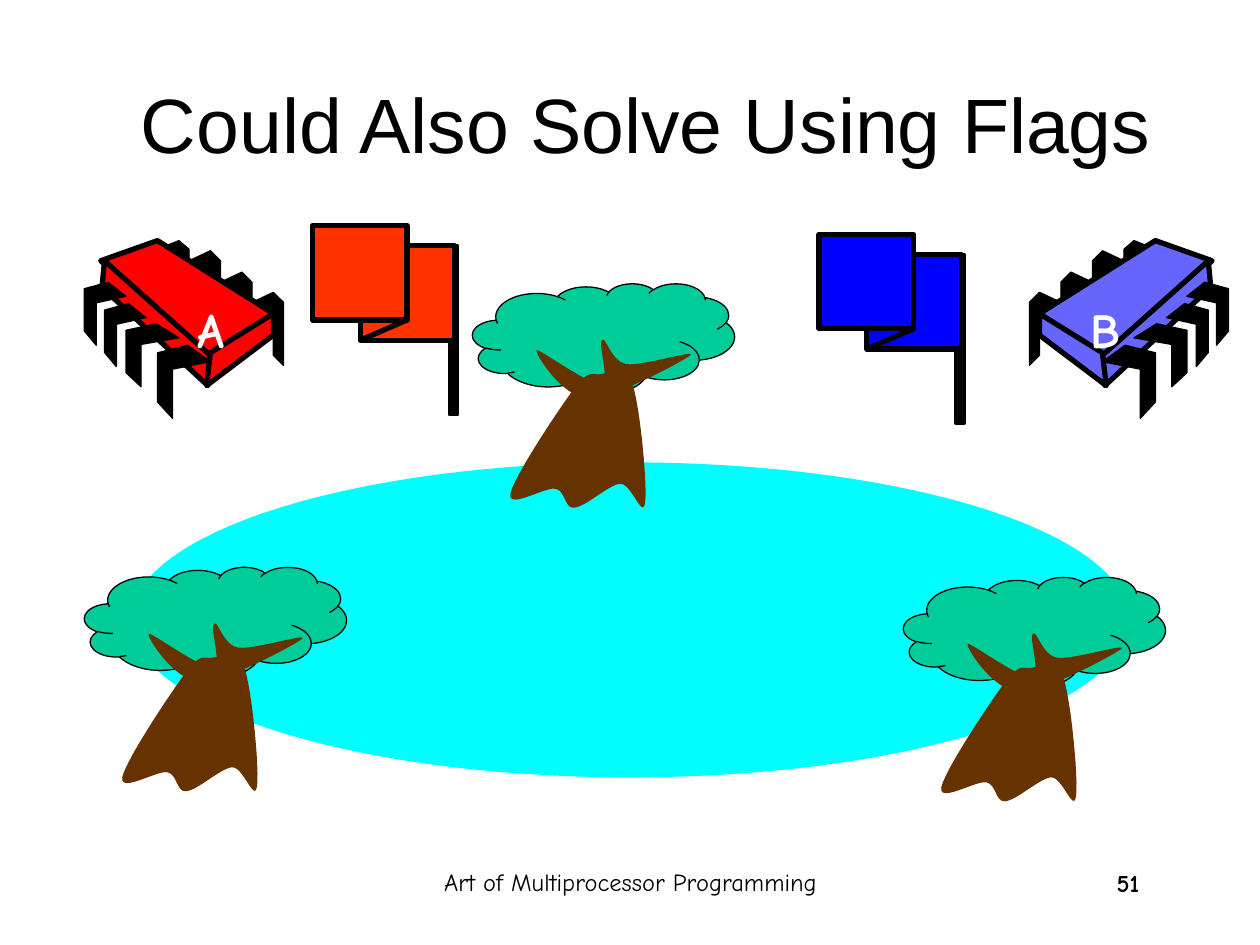
from lxml import etree
from pptx import Presentation
from pptx.dml.color import RGBColor
from pptx.enum.shapes import MSO_CONNECTOR, MSO_SHAPE
from pptx.enum.text import MSO_ANCHOR, PP_ALIGN
from pptx.oxml.ns import qn
from pptx.util import Pt

PX = 9144  # 100 px to the inch
STRAIGHT = MSO_CONNECTOR.STRAIGHT
RECTANGLE, OVAL, CLOUD = MSO_SHAPE.RECTANGLE, MSO_SHAPE.OVAL, MSO_SHAPE.CLOUD_CALLOUT
CENTER, RIGHT = PP_ALIGN.CENTER, PP_ALIGN.RIGHT
MIDDLE = MSO_ANCHOR.MIDDLE
BLACK, WHITE, BROWN = "000000", "FFFFFF", "663300"
CURVE_STEPS = 12


def paint(shape, fill, line_width=0):
    shape.shadow.inherit = False
    shape.fill.solid()
    shape.fill.fore_color.rgb = RGBColor.from_string(fill)
    if line_width:
        shape.line.color.rgb = RGBColor.from_string(BLACK)
        shape.line.width = Pt(line_width)
    else:
        shape.line.fill.background()


def add_outline(shapes, points, fill, line_width=0):
    scaled = [(x * PX, y * PX) for x, y in points]
    builder = shapes.build_freeform(*scaled[0], scale=1.0)
    builder.add_line_segments(scaled[1:], close=True)
    paint(builder.convert_to_shape(), fill, line_width)


presentation = Presentation()
presentation.slide_width, presentation.slide_height = 1000 * PX, 750 * PX
slide = presentation.slides.add_slide(presentation.slide_layouts[5])

# Title
title = slide.shapes.title
title.left, title.top, title.width, title.height = 88 * PX, 35 * PX, 850 * PX, 125 * PX
title.text_frame.text = "Could Also Solve Using Flags"
title.text_frame.vertical_anchor = MIDDLE
title.text_frame.paragraphs[0].alignment = CENTER
title_font = title.text_frame.paragraphs[0].runs[0].font
title_font.name, title_font.size = "Arial", Pt(44)
title_font.color.rgb = RGBColor.from_string(BLACK)

# Chips: pins are one outline each, scaled to their boxes; chip B mirrors chip A
back_pin = [(0, 8), (17, 0), (25, 8), (25, 58), (17, 50), (17, 17), (0, 25)]
front_pin = [(24, 0), (42, 13), (12, 19), (12, 58), (0, 45), (0, 6)]
back_boxes = [(200, 232, 25, 58), (175, 216, 25, 58), (150, 199, 25, 58), (125, 191, 25, 50)]
front_boxes = [(125, 274, 42, 58), (100, 257, 42, 50), (83, 241, 33, 50), (67, 224, 33, 50)]
chip_faces = [
    [(125, 191), (217, 249), (165, 284), (80, 207)],
    [(83, 207), (167, 282), (165, 306), (81, 228)],
    [(217, 249), (217, 266), (164, 306), (167, 280)],
]
back_pins, front_pins = [
    [[(left + x * width / pin_width, top + y * height / 58) for x, y in pin]
     for left, top, width, height in boxes]
    for pin, pin_width, boxes in [(back_pin, 25, back_boxes), (front_pin, 42, front_boxes)]
]
for chip_color, origin, direction in [("FF0000", 0, 1), ("6666FF", 1042, -1)]:
    chip = slide.shapes.add_group_shape()
    for outlines, fill, line_width in [
        (back_pins, BLACK, 0.75), (chip_faces, chip_color, 3), (front_pins, BLACK, 0.75),
    ]:
        for outline in outlines:
            points = [(origin + direction * x, y) for x, y in outline]
            add_outline(chip.shapes, points, fill, line_width)

# Pond
pond = slide.shapes.add_shape(OVAL, 104 * PX, 367 * PX, 792 * PX, 250 * PX)
paint(pond, "00FFFF")

# Trees: start point, then two control points and an end point per curve
trunk = [
    (81, 83), (93, 68), (94, 73), (102, 72), (109, 71), (121, 63), (127, 80),
    (133, 97), (139, 161), (137, 174), (135, 188), (126, 158), (117, 159),
    (108, 160), (90, 177), (81, 178), (73, 179), (74, 165), (66, 163),
    (58, 161), (28, 180), (30, 167), (33, 153), (69, 99), (81, 83),
]
branches = [
    (51, 53), (49, 55), (71, 90), (91, 91), (112, 92), (168, 61), (173, 57),
    (178, 52), (134, 66), (122, 64), (110, 62), (106, 42), (103, 45),
    (99, 47), (110, 78), (102, 80), (93, 81), (52, 51), (51, 53),
]
for left, top in [(375, 225), (717, 458), (67, 450)]:
    tree = slide.shapes.add_group_shape()
    crown = tree.shapes.add_shape(CLOUD, left * PX, top * PX, 208 * PX, 87 * PX)
    crown.adjustments[0], crown.adjustments[1] = 0.02, 0.49
    paint(crown, "00CC99", 0.75)
    for curve in (trunk, branches):
        points = [(left + curve[0][0], top + curve[0][1])]
        for first in range(0, len(curve) - 1, 3):
            for step in range(1, CURVE_STEPS + 1):
                t = step / CURVE_STEPS
                weights = ((1 - t) ** 3, 3 * t * (1 - t) ** 2, 3 * t * t * (1 - t), t ** 3)
                controls = list(zip(weights, curve[first:first + 4]))
                points.append((left + sum(w * x for w, (x, y) in controls),
                               top + sum(w * y for w, (x, y) in controls)))
        add_outline(tree.shapes, points, BROWN)

# Flags: pole, rear cloth, fold line, front cloth
for left, top, flag_color in [(650, 186, "0000FF"), (248, 179, "FF3300")]:
    flag = slide.shapes.add_group_shape()
    for x, y, width, height, fill, line_width in [
        (109, 16, 6, 134, BLACK, 2.25), (38, 16, 75, 75, flag_color, 3), (0, 0, 75, 75, flag_color, 3),
    ]:
        if x == 0:
            fold = flag.shapes.add_connector(
                STRAIGHT, (left + 38) * PX, (top + 91) * PX, (left + 75) * PX, (top + 75) * PX)
            fold.line.color.rgb = RGBColor.from_string(BLACK)
            fold.line.width = Pt(3)
            etree.SubElement(fold._element.spPr, qn("a:effectLst"))
        part = flag.shapes.add_shape(
            RECTANGLE, (left + x) * PX, (top + y) * PX, width * PX, height * PX)
        paint(part, fill, line_width)

# Chip labels, footer and slide number
for text, left, top, width, height, size, color, bold, alignment, wrap in [
    ("A", 147, 233, 41, 57, 28, WHITE, True, RIGHT, False),
    ("B", 855, 233, 44, 57, 28, WHITE, True, RIGHT, False),
    ("Art of Multiprocessor Programming", 342, 683, 317, 50, 14, BLACK, False, CENTER, True),
    ("51", 706, 684, 208, 50, 14, BLACK, True, RIGHT, True),
]:
    box = slide.shapes.add_textbox(left * PX, top * PX, width * PX, height * PX)
    box.text_frame.word_wrap = wrap
    box.text_frame.text = text
    paragraph = box.text_frame.paragraphs[0]
    paragraph.alignment = alignment
    font = paragraph.runs[0].font
    font.name, font.size, font.bold = "Comic Neue", Pt(size), bold
    font.color.rgb = RGBColor.from_string(color)

presentation.save("out.pptx")
